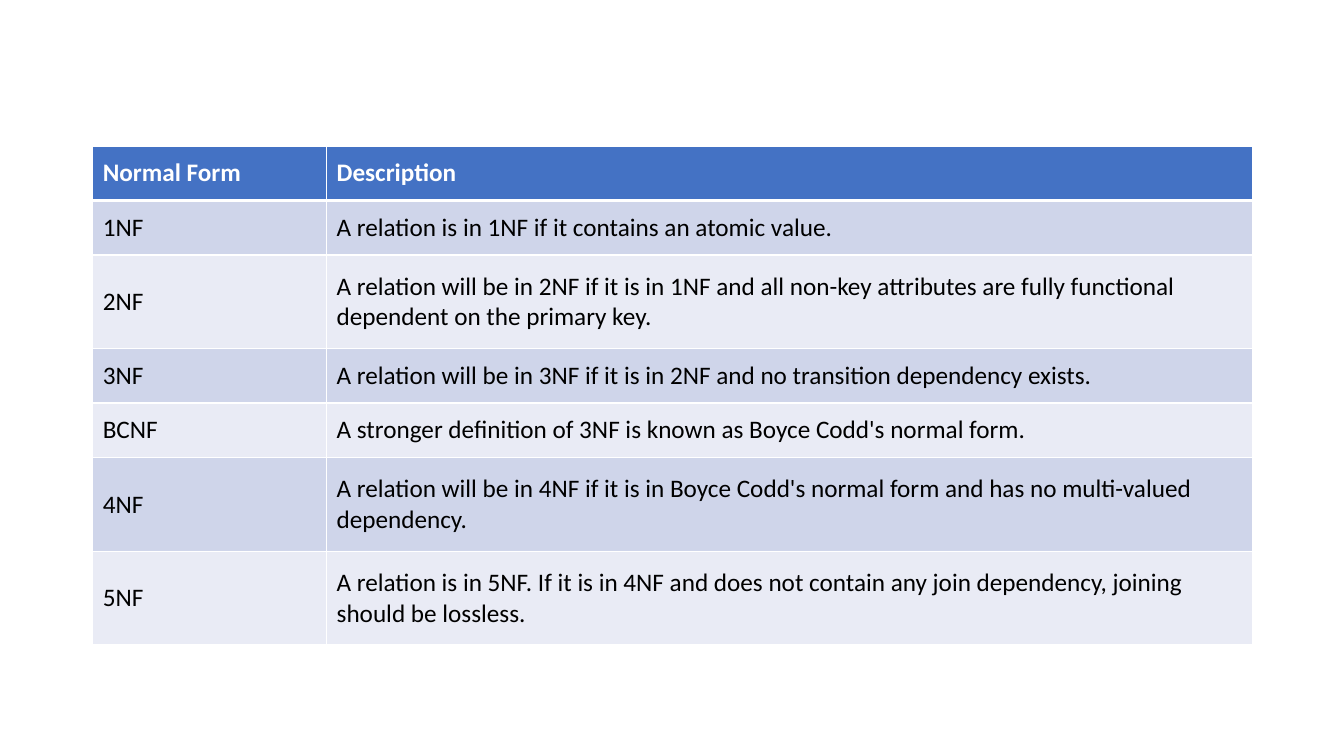
from dataclasses import dataclass

from lxml import etree
from pptx import Presentation, util as u
from pptx.dml.color import RGBColor
from pptx.enum import text
from pptx.oxml import ns


@dataclass(frozen=True)
class Theme:
    font: str = "Calibri"
    size: float = 18
    head: str = "4472C4"
    bands: tuple[str, str] = ("CFD5EA", "E9EBF5")
    light: str = "FFFFFF"
    dark: str = "000000"
    thin: float = 1
    thick: float = 3


@dataclass(frozen=True)
class Form:
    name: str
    about: str
    lines: int = 1


THEME = Theme()
WIDE, HIGH = u.Inches(13.33), u.Inches(7.5)
LEFT, TOP = 6.9, 19.33  # percent of the slide
COLS = (17.4, 68.87)
ROWS = {1: 7.2, 2: 12.4}  # height by number of text lines

FORMS = [
    Form("Normal Form", "Description"),
    Form("1NF", "A relation is in 1NF if it contains an atomic value."),
    Form("2NF", "A relation will be in 2NF if it is in 1NF and all non-key attributes "
         "are fully functional dependent on the primary key.", 2),
    Form("3NF", "A relation will be in 3NF if it is in 2NF and no transition dependency exists."),
    Form("BCNF", "A stronger definition of 3NF is known as Boyce Codd's normal form."),
    Form("4NF", "A relation will be in 4NF if it is in Boyce Codd's normal form "
         "and has no multi-valued dependency.", 2),
    Form("5NF", "A relation is in 5NF. If it is in 4NF and does not contain any "
         "join dependency, joining should be lossless.", 2),
]


def across(share: float) -> int:
    return round(WIDE * share / 100)


def down(share: float) -> int:
    return round(HIGH * share / 100)


def edge(cell, top: float, base: float) -> None:
    """Draw the four cell borders, with their own widths at top and base."""
    props = cell._tc.get_or_add_tcPr()
    sides = {"L": THEME.thin, "R": THEME.thin, "T": top, "B": base}
    for spot, (side, width) in enumerate(sides.items()):
        line = etree.Element(ns.qn(f"a:ln{side}"), w=str(u.Pt(width)))
        fill = etree.SubElement(line, ns.qn("a:solidFill"))
        etree.SubElement(fill, ns.qn("a:srgbClr"), val=THEME.light)
        props.insert(spot, line)


def write(cell, words: str, row: int) -> None:
    head = row == 0
    cell.text_frame.text = words
    cell.vertical_anchor = text.MSO_ANCHOR.MIDDLE
    cell.fill.solid()
    cell.fill.fore_color.rgb = RGBColor.from_string(
        THEME.head if head else THEME.bands[(row - 1) % 2])
    font = cell.text_frame.paragraphs[0].runs[0].font
    font.name, font.size, font.bold = THEME.font, u.Pt(THEME.size), head
    font.color.rgb = RGBColor.from_string(THEME.light if head else THEME.dark)
    edge(cell, THEME.thick if row == 1 else THEME.thin,
         THEME.thick if head else THEME.thin)


def main() -> None:
    deck = Presentation()
    deck.slide_width, deck.slide_height = WIDE, HIGH
    slide = deck.slides.add_slide(deck.slide_layouts[6])
    tall = sum(ROWS[form.lines] for form in FORMS)
    grid = slide.shapes.add_table(len(FORMS), len(COLS), across(LEFT), down(TOP),
                                  across(sum(COLS)), down(tall)).table
    for col, share in zip(grid.columns, COLS):
        col.width = across(share)
    for row, form in enumerate(FORMS):
        grid.rows[row].height = down(ROWS[form.lines])
        for col, words in enumerate((form.name, form.about)):
            write(grid.cell(row, col), words, row)
    deck.save("out.pptx")


if __name__ == "__main__":
    main()
